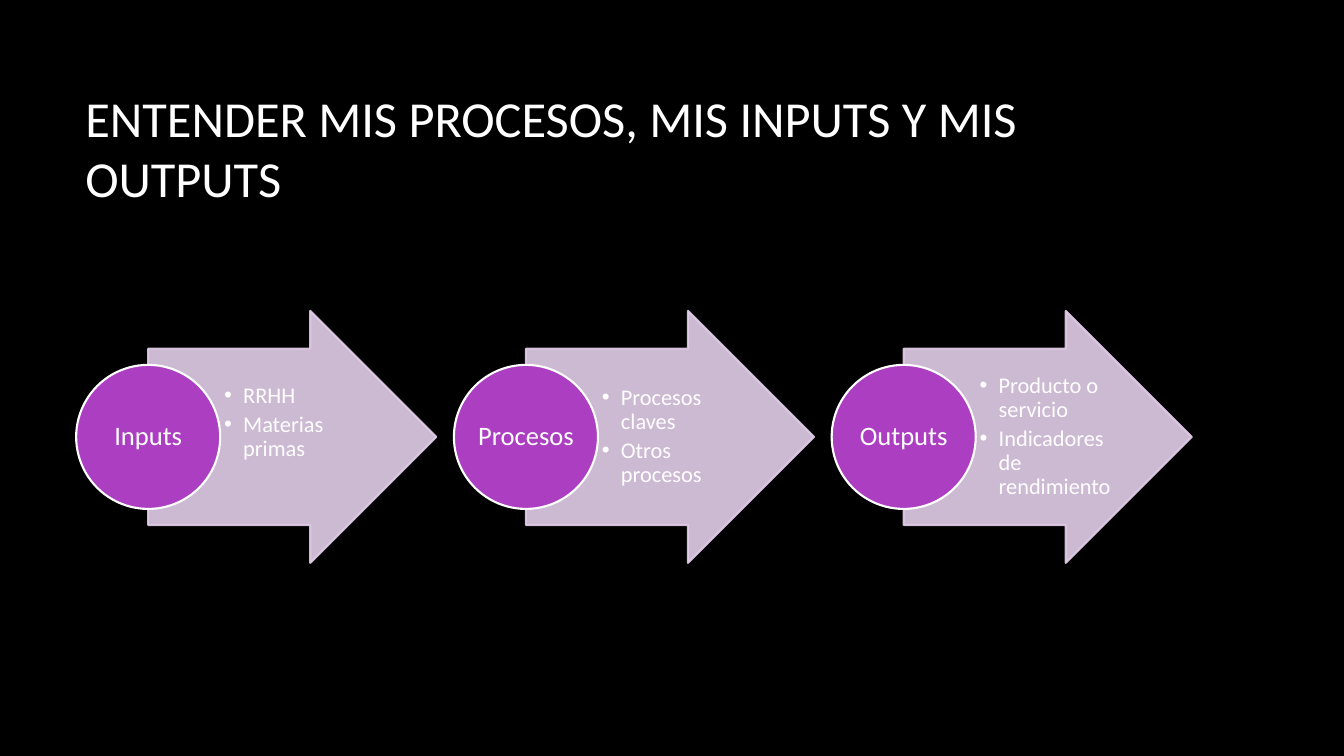
from lxml.etree import SubElement
from pptx import Presentation
from pptx.dml.color import RGBColor
from pptx.enum.shapes import MSO_SHAPE
from pptx.enum.text import MSO_ANCHOR, PP_ALIGN
from pptx.oxml.ns import qn
from pptx.util import Cm, Pt

BLACK = RGBColor(0x00, 0x00, 0x00)
WHITE = RGBColor(0xFF, 0xFF, 0xFF)
PURPLE = RGBColor(0xAC, 0x3E, 0xC1)
LILAC = RGBColor(0xE3, 0xCE, 0xE9)

# Flow geometry in centimetres
FLOW_LEFT, FLOW_MIDDLE, STAGE_STEP = 1.92, 11.01, 9.52
CIRCLE = 3.63
ARROW_WIDTH, ARROW_HEIGHT = 7.26, 6.35
LABEL = 2.57
LIST_WIDTH, LIST_HEIGHT = 3.53, 4.45
INDENT = 0.48

# Stage name, its points, and extra space under the points
STAGES = [
    ("Inputs", ["RRHH", "Materias primas"], 0.71),
    ("Procesos", ["Procesos claves", "Otros procesos"], 0),
    ("Outputs", ["Producto o servicio", "Indicadores de rendimiento"], 0),
]


def apply(target, values):
    for name, value in values.items():
        setattr(target, name, value)


class FlowSlide:
    font = "Calibri"
    line_width = Pt(1.5)

    def __init__(self, deck):
        self.slide = deck.slides.add_slide(deck.slide_layouts[6])
        background = self.slide.background.fill
        background.solid()
        background.fore_color.rgb = BLACK
        self.shapes = self.slide.shapes

    def start_group(self):
        self.shapes = self.slide.shapes.add_group_shape().shapes

    def text(self, box, lines, size, insets, paragraph_format, bullets=False):
        frame = self.shapes.add_textbox(*map(Cm, box)).text_frame
        left, top, right, bottom = map(Cm, insets)
        apply(frame, {"word_wrap": True, "vertical_anchor": MSO_ANCHOR.MIDDLE,
                      "margin_left": left, "margin_top": top,
                      "margin_right": right, "margin_bottom": bottom})
        for index, line in enumerate(lines):
            paragraph = frame.add_paragraph() if index else frame.paragraphs[0]
            apply(paragraph, paragraph_format)
            run = paragraph.add_run()
            run.text = line
            apply(run.font, {"name": self.font, "size": Pt(size)})
            run.font.color.rgb = WHITE
            if bullets:
                self.bullet(paragraph)

    def bullet(self, paragraph):
        properties = paragraph._p.get_or_add_pPr()
        properties.set("marL", str(Cm(INDENT)))
        properties.set("indent", str(-Cm(INDENT)))
        SubElement(properties, qn("a:buFont"), typeface="Arial")
        SubElement(properties, qn("a:buChar"), char="•")

    def shape(self, kind, box, fill, line, alpha=100):
        shape = self.shapes.add_shape(kind, *map(Cm, box))
        shape.shadow.inherit = False
        shape.fill.solid()
        shape.fill.fore_color.rgb = fill
        shape.line.color.rgb = line
        shape.line.width = self.line_width
        if alpha < 100:
            for color in shape._element.spPr.iter(qn("a:srgbClr")):
                SubElement(color, qn("a:alpha"), val=str(alpha * 1000))
        return shape

    def stage(self, left, name, points, space_below):
        center = left + CIRCLE / 2

        # Arrow with its points
        arrow = self.shape(
            MSO_SHAPE.RIGHT_ARROW,
            (center, FLOW_MIDDLE - ARROW_HEIGHT / 2, ARROW_WIDTH, ARROW_HEIGHT),
            LILAC, LILAC, alpha=90)
        arrow.adjustments[0], arrow.adjustments[1] = 0.7, 0.5
        self.text(
            (left + CIRCLE, FLOW_MIDDLE - LIST_HEIGHT / 2, LIST_WIDTH, LIST_HEIGHT),
            points, 16, (0.1, 0.03, 0.05, 0.03 + space_below),
            {"line_spacing": 0.9, "space_after": Pt(3)}, bullets=True)

        # Circle with the stage name
        self.shape(MSO_SHAPE.OVAL,
                   (left, FLOW_MIDDLE - CIRCLE / 2, CIRCLE, CIRCLE), PURPLE, WHITE)
        self.text((center - LABEL / 2, FLOW_MIDDLE - LABEL / 2, LABEL, LABEL),
                  [name], 19, (0.03, 0.03, 0.03, 0.03),
                  {"line_spacing": 0.9, "alignment": PP_ALIGN.CENTER})


def main():
    deck = Presentation()
    apply(deck, {"slide_width": Cm(33.87), "slide_height": Cm(19.05)})
    flow = FlowSlide(deck)

    # Title
    flow.text((1.9, 1.7, 28.15, 4.04),
              ["ENTENDER MIS PROCESOS, MIS INPUTS Y MIS OUTPUTS"],
              36, (0.25, 0.13, 0.25, 0.13), {"alignment": PP_ALIGN.LEFT})

    # Process flow
    flow.start_group()
    for index, (name, points, space_below) in enumerate(STAGES):
        flow.stage(FLOW_LEFT + index * STAGE_STEP, name, points, space_below)

    deck.save("out.pptx")


if __name__ == "__main__":
    main()
